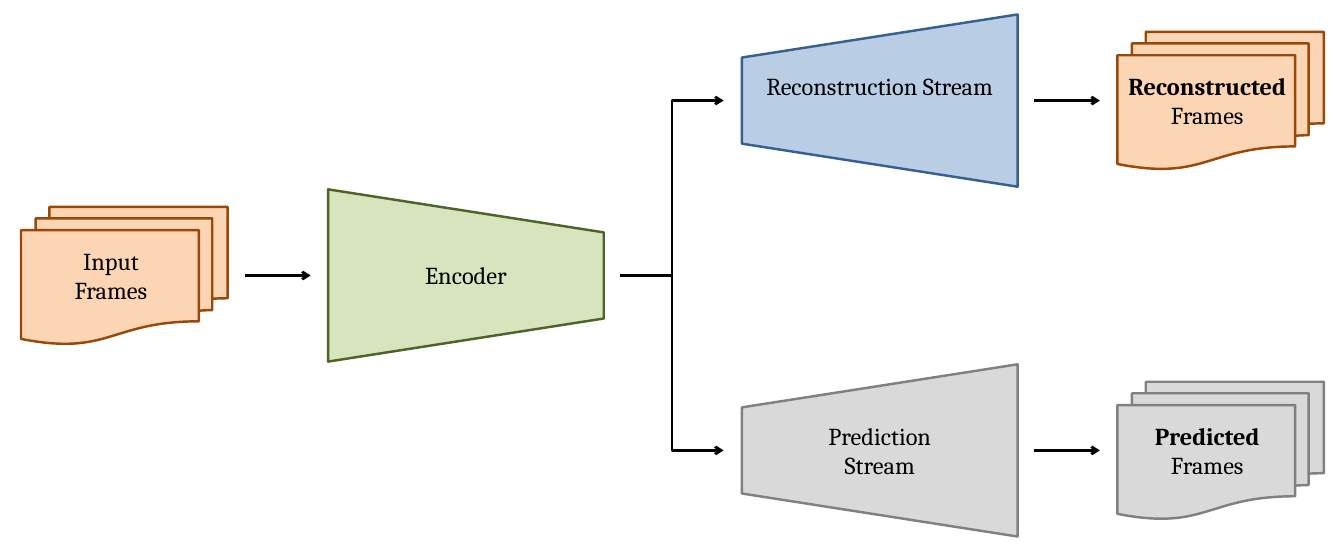
import pptx
import pptx.util
import pptx.dml.color
import pptx.enum.shapes
import pptx.enum.text
import pptx.oxml
import pptx.oxml.ns

Pt = pptx.util.Pt
RGBColor = pptx.dml.color.RGBColor
SHAPE = pptx.enum.shapes.MSO_SHAPE
CONNECTOR = pptx.enum.shapes.MSO_CONNECTOR

BLACK = RGBColor(0x00, 0x00, 0x00)
ORANGE = (RGBColor(0xFC, 0xD5, 0xB5), RGBColor(0x98, 0x48, 0x07))
GREEN = (RGBColor(0xD7, 0xE4, 0xBD), RGBColor(0x4F, 0x62, 0x28))
BLUE = (RGBColor(0xB9, 0xCD, 0xE5), RGBColor(0x37, 0x60, 0x92))
GRAY = (RGBColor(0xD9, 0xD9, 0xD9), RGBColor(0x80, 0x80, 0x80))

TOP, MIDDLE, BOTTOM = 82.8, 226.8, 370.8
ONE_LINE, TWO_LINES = 31.7, 55.4

FRAME_STACKS = [
    ("Input\vFrames", 17.3, MIDDLE, ORANGE, False),
    ("Reconstructed\vFrames", 919.4, TOP, ORANGE, True),
    ("Predicted\vFrames", 919.4, BOTTOM, GRAY, True),
]
NETWORKS = [
    ("Encoder", 270, MIDDLE, GREEN, 90, ONE_LINE),
    ("Reconstruction Stream", 610.5, TOP, BLUE, 270, TWO_LINES),
    ("Prediction\vStream", 610.5, BOTTOM, GRAY, 270, TWO_LINES),
]
ARROWS = [
    (CONNECTOR.STRAIGHT, 201.6, MIDDLE, 255.6, MIDDLE),
    (CONNECTOR.STRAIGHT, 851, TOP, 905, TOP),
    (CONNECTOR.STRAIGHT, 851, BOTTOM, 905, BOTTOM),
    (CONNECTOR.ELBOW, 510.5, MIDDLE, 595.4, TOP),
    (CONNECTOR.ELBOW, 510.5, MIDDLE, 595.4, BOTTOM),
]

STACK_WIDTH, STACK_HEIGHT, FRAME_WIDTH = 170, 113, 149
NETWORK_LENGTH, NETWORK_HEIGHT = 226.8, 141.8

presentation = pptx.Presentation()
presentation.slide_width = Pt(1105.92)
presentation.slide_height = Pt(453.6)
slide = presentation.slides.add_slide(presentation.slide_layouts[6])


def add_block(preset, center_x, center_y, width, height, colors, rotation=0):
    shape = slide.shapes.add_shape(
        preset, Pt(center_x - width / 2), Pt(center_y - height / 2), Pt(width), Pt(height))
    fill_color, line_color = colors
    shape.rotation = rotation
    shape.shadow.inherit = False
    shape.fill.solid()
    shape.fill.fore_color.rgb = fill_color
    shape.line.color.rgb = line_color
    shape.line.width = Pt(2)


def add_label(text, left, center_y, width, height, bold_first=False):
    label = slide.shapes.add_textbox(
        Pt(left), Pt(center_y - height / 2), Pt(width), Pt(height))
    text_frame = label.text_frame
    text_frame.word_wrap = True
    text_frame.text = text
    paragraph = text_frame.paragraphs[0]
    paragraph.alignment = pptx.enum.text.PP_ALIGN.CENTER
    for index, run in enumerate(paragraph.runs):
        run.font.name = "Cambria"
        run.font.size = Pt(20)
        run.font.color.rgb = BLACK
        run.font.bold = bold_first and index == 0


def add_arrow(kind, begin_x, begin_y, end_x, end_y):
    arrow = slide.shapes.add_connector(kind, Pt(begin_x), Pt(begin_y), Pt(end_x), Pt(end_y))
    arrow.line.color.rgb = BLACK
    arrow.line.width = Pt(2.25)
    namespace = pptx.oxml.ns.nsdecls("a")
    arrow.line._get_or_add_ln().append(
        pptx.oxml.parse_xml(f'<a:tailEnd {namespace} type="arrow"/>'))
    arrow._element.spPr.append(pptx.oxml.parse_xml(f"<a:effectLst {namespace}/>"))


for text, left, center_y, colors, bold_first in FRAME_STACKS:
    add_block(SHAPE.FLOWCHART_MULTIDOCUMENT, left + STACK_WIDTH / 2, center_y,
              STACK_WIDTH, STACK_HEIGHT, colors)
    add_label(text, left - 0.5, center_y, FRAME_WIDTH, TWO_LINES, bold_first)

for text, left, center_y, colors, rotation, label_height in NETWORKS:
    add_block(SHAPE.TRAPEZOID, left + NETWORK_LENGTH / 2, center_y,
              NETWORK_HEIGHT, NETWORK_LENGTH, colors, rotation)
    add_label(text, left, center_y, NETWORK_LENGTH, label_height)

for arrow in ARROWS:
    add_arrow(*arrow)

presentation.save("out.pptx")
